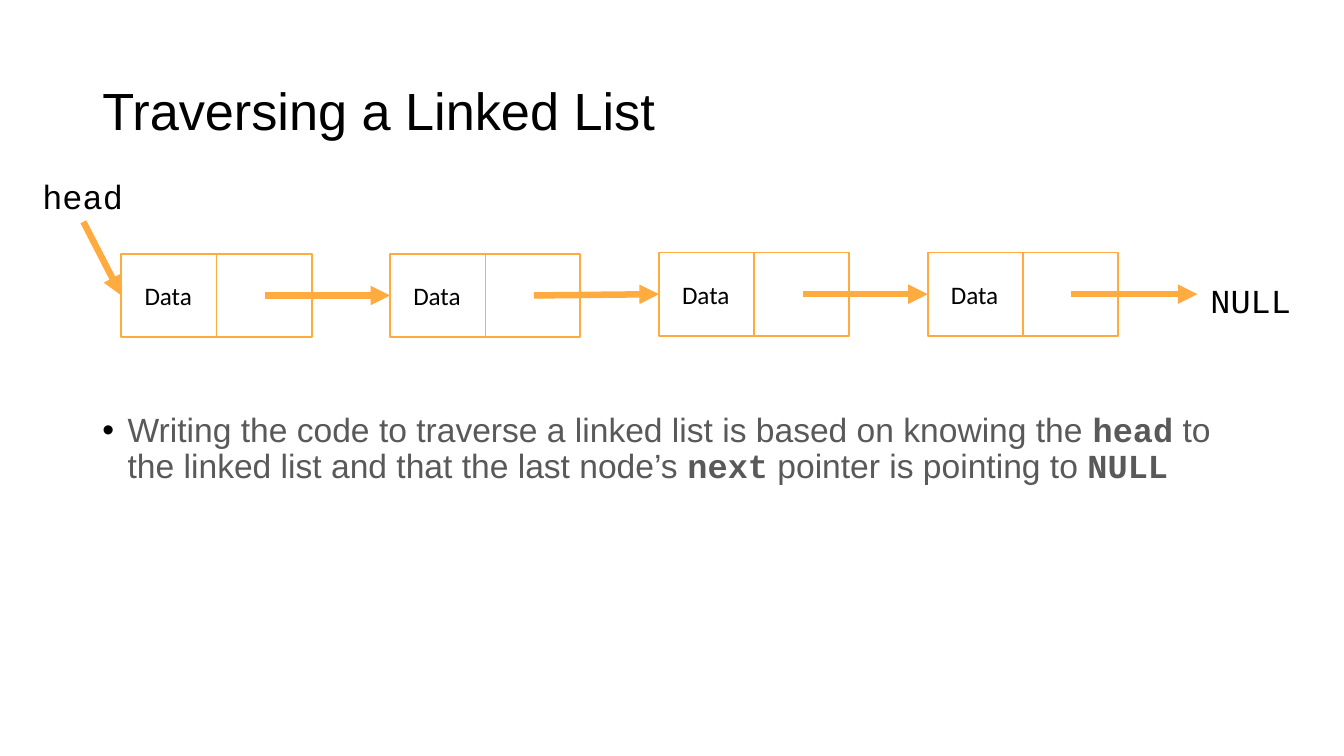
"""Build a slide that shows how a linked list is traversed."""
import pptx
import pptx.dml.color
import pptx.enum.shapes
import pptx.enum.text
import pptx.oxml
import pptx.oxml.ns
import pptx.util

Pt = pptx.util.Pt
RGBColor = pptx.dml.color.RGBColor
BLACK = RGBColor(0x00, 0x00, 0x00)
GREY = RGBColor(0x59, 0x59, 0x59)
WHITE = RGBColor(0xFF, 0xFF, 0xFF)
ORANGE = RGBColor(0xFF, 0xAB, 0x40)

NODE_W, NODE_H = 102, 44.6
NODE_LEFT, NODE_STEP = 65, 144
NODE_TOPS = (136, 136, 135.3, 135.3)
POINTER_X, POINTER_LEN = 77, 67.5

TITLE = {"name": "Arial", "size": Pt(28), "bold": False}
BODY = {"name": "Arial", "size": Pt(18), "bold": False}
CODE = {"name": "Courier New", "size": Pt(18), "bold": False}
BODY_CODE = {**CODE, "bold": True}
DATA = {"name": "Calibri", "size": Pt(13.5), "bold": False}


class Slide:
    def __init__(self, prs):
        self.s = prs.slides.add_slide(prs.slide_layouts[1])

    def element(self, parent, tag, **attrs):
        e = pptx.oxml.parse_xml(f"<a:{tag} {pptx.oxml.ns.nsdecls('a')}/>")
        for key, value in attrs.items():
            e.set(key, value)
        parent.append(e)
        return e

    def frame(self, sp, top_inset=2.7):
        tf = sp.text_frame
        insets = {"margin_left": 5.4, "margin_right": 5.4,
                  "margin_top": top_inset, "margin_bottom": 2.7}
        for key, value in insets.items():
            setattr(tf, key, Pt(value))
        tf.auto_size = pptx.enum.text.MSO_AUTO_SIZE.NONE
        return tf

    def run(self, p, text, style, color=BLACK):
        r = p.add_run()
        r.text = text
        for key, value in style.items():
            setattr(r.font, key, value)
        r.font.color.rgb = color

    def placeholder(self, idx, box, anchor, top_inset=2.7):
        sp = self.s.placeholders[idx]
        sp.left, sp.top, sp.width, sp.height = map(Pt, box)
        tf = self.frame(sp, top_inset)
        tf.word_wrap = True
        tf.vertical_anchor = anchor
        p = tf.paragraphs[0]
        formats = {"alignment": pptx.enum.text.PP_ALIGN.LEFT, "line_spacing": 0.9,
                   "space_before": Pt(0)}
        for key, value in formats.items():
            setattr(p, key, value)
        return p

    def bullet(self, p, indent):
        pPr = p._p.get_or_add_pPr()
        pPr.set("marL", str(Pt(indent)))
        pPr.set("indent", str(-Pt(indent)))
        self.element(self.element(pPr, "buClr"), "srgbClr", val=str(BLACK))
        self.element(pPr, "buFont", typeface="Arial")
        self.element(pPr, "buChar", char="•")

    def label(self, text, left, top, width, height, style):
        sp = self.s.shapes.add_textbox(*map(Pt, (left, top, width, height)))
        self.run(self.frame(sp).paragraphs[0], text, style)
        return sp

    def line(self, start, end, width, arrow=False):
        c = self.s.shapes.add_connector(
            pptx.enum.shapes.MSO_CONNECTOR.STRAIGHT, *map(Pt, (*start, *end)))
        c.line.color.rgb = ORANGE
        c.line.width = Pt(width)
        if arrow:
            self.element(c.line._get_or_add_ln(), "tailEnd", type="triangle")
        self.element(c._element.spPr, "effectLst")
        return c

    def node(self, left, top):
        sp = self.s.shapes.add_shape(
            pptx.enum.shapes.MSO_SHAPE.RECTANGLE, *map(Pt, (left, top, NODE_W, NODE_H)))
        sp.shadow.inherit = False
        sp.fill.solid()
        sp.fill.fore_color.rgb = WHITE
        sp.line.color.rgb = ORANGE
        sp.line.width = Pt(1)
        middle = left + NODE_W / 2
        self.line((middle, top), (middle, top + NODE_H), 0.75)
        self.label("Data", left + 7, top + 11.5, 36.7, 21.6, DATA)
        return sp


def main():
    prs = pptx.Presentation()
    prs.slide_width, prs.slide_height = Pt(720), Pt(405)
    slide = Slide(prs)
    anchor = pptx.enum.text.MSO_ANCHOR

    p = slide.placeholder(0, (49.5, 21.6, 621, 78.3), anchor.MIDDLE)
    slide.run(p, "Traversing a Linked List", TITLE)

    p = slide.placeholder(1, (49.5, 108, 621, 257), anchor.TOP, top_inset=113.5)
    slide.bullet(p, 13.5)
    for text, style in (
        ("Writing the code to traverse a linked list is based on knowing the ", BODY),
        ("head", BODY_CODE),
        (" to the linked list and that the last node’s ", BODY),
        ("next", BODY_CODE),
        (" pointer is pointing to ", BODY),
        ("NULL", BODY_CODE),
    ):
        slide.run(p, text, style, GREY)

    lefts = [NODE_LEFT + i * NODE_STEP for i in range(len(NODE_TOPS))]
    nodes = [slide.node(left, top) for left, top in zip(lefts, NODE_TOPS)]
    for left, top, target in zip(lefts, NODE_TOPS, nodes[1:] + [None]):
        x, y = left + POINTER_X, top + NODE_H / 2
        arrow = slide.line((x, y), (x + POINTER_LEN, y), 3.5, arrow=True)
        if target is not None:
            arrow.end_connect(target, 1)

    slide.label("NULL", 643, 147, 54.7, 27.4, CODE)
    head = slide.label("head", 17.3, 91.4, 54.7, 27.4, CODE)
    arrow = slide.line((44.6, 118.8), (NODE_LEFT, 158.3), 3.5, arrow=True)
    arrow.begin_connect(head, 2)
    arrow.end_connect(nodes[0], 1)

    prs.save("out.pptx")


if __name__ == "__main__":
    main()
